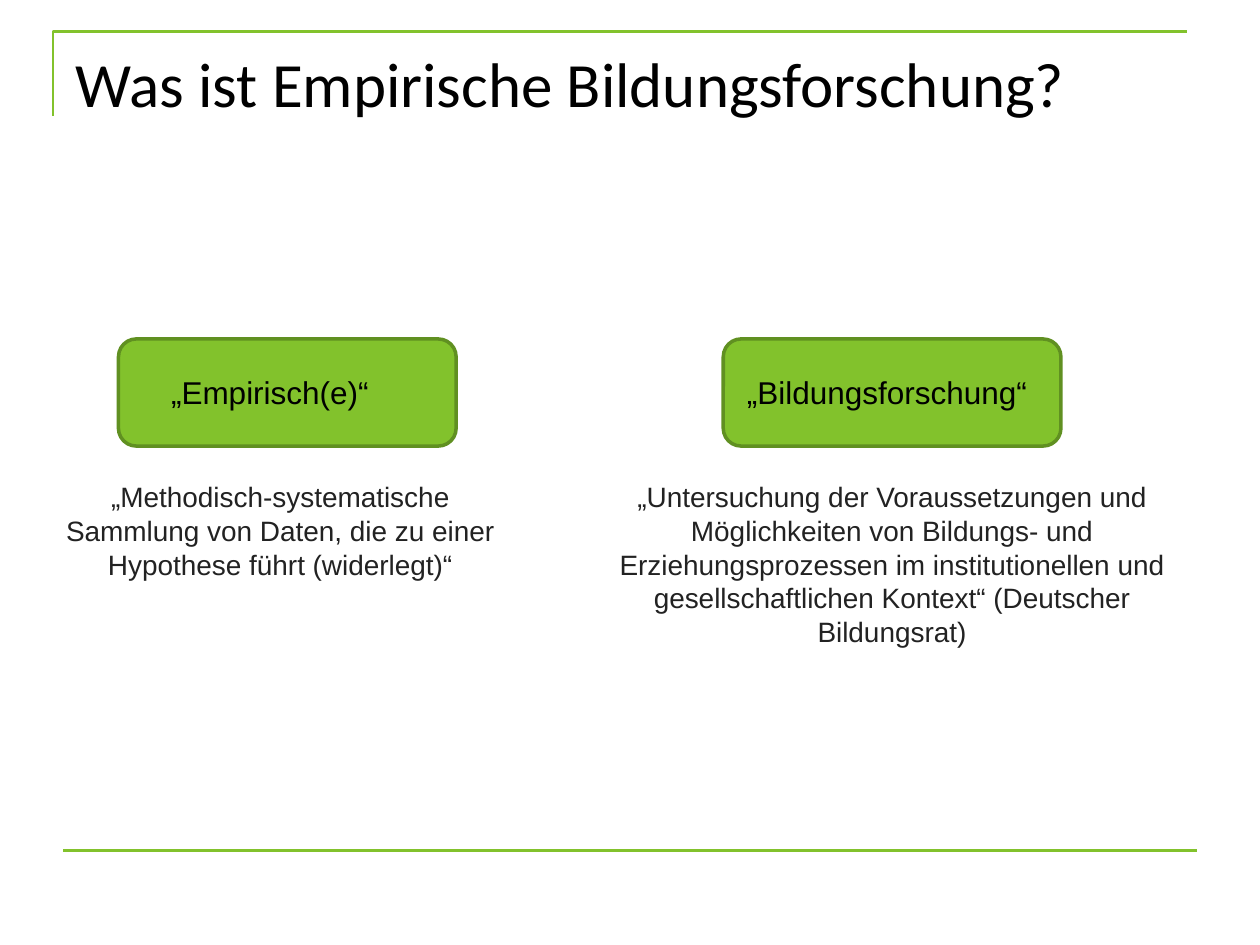
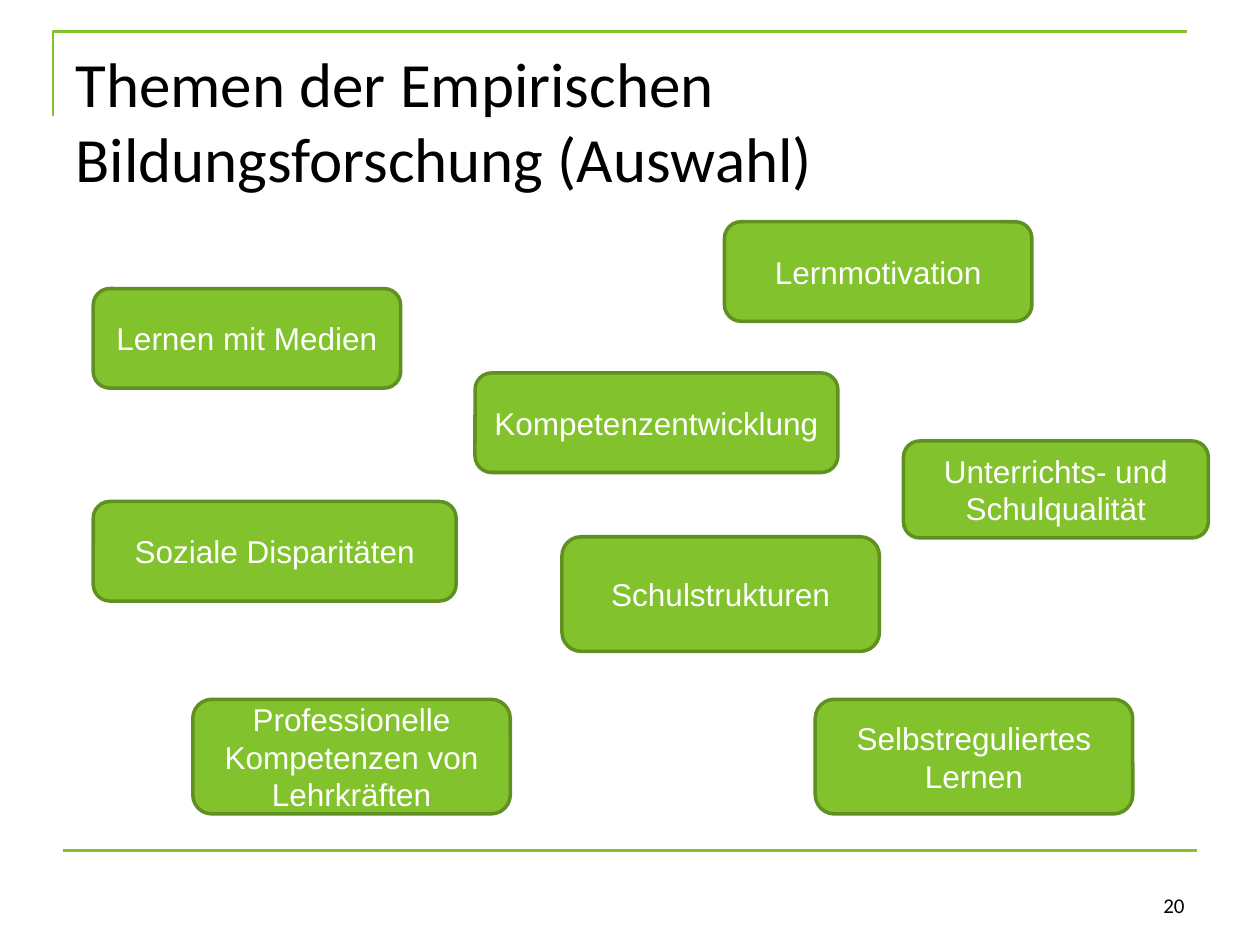
from lxml import etree
from pptx import Presentation
from pptx.dml.color import RGBColor
from pptx.enum.shapes import MSO_CONNECTOR, MSO_SHAPE
from pptx.enum.text import MSO_ANCHOR, MSO_AUTO_SIZE, PP_ALIGN
from pptx.oxml.ns import qn
from pptx.util import Inches, Pt

LEFT, CENTER, RIGHT = PP_ALIGN.LEFT, PP_ALIGN.CENTER, PP_ALIGN.RIGHT
TOP, MIDDLE, BOTTOM = MSO_ANCHOR.TOP, MSO_ANCHOR.MIDDLE, MSO_ANCHOR.BOTTOM
ROUNDED = MSO_SHAPE.ROUNDED_RECTANGLE
STRAIGHT = MSO_CONNECTOR.STRAIGHT
NO_AUTOFIT = MSO_AUTO_SIZE.NONE

GREEN, DARK_GREEN = "82C22C", "609021"
BLACK, GRAY, WHITE = "000000", "222222", "FFFFFF"
TITLE_FONT, BODY_FONT = "Calibri", "Arial"

DEFINITION_TITLE = "Was ist Empirische Bildungsforschung?"
TERM_TOP, TERM_SIZE = 2.69, (2.68, 0.85)
LABEL_TOP, LABEL_HEIGHT = 2.91, 0.4
DEFINITION_TOP = 3.76
TERMS = [
    {
        "label": "„Empirisch(e)“",
        "box_left": 0.94,
        "label_left": 1.26,
        "label_width": 2.06,
        "definition": "„Methodisch-systematische Sammlung von Daten, "
                      "die zu einer Hypothese führt (widerlegt)“",
        "definition_left": 0.26,
        "definition_size": (3.93, 0.91),
    },
    {
        "label": "„Bildungsforschung“",
        "box_left": 5.74,
        "label_left": 5.83,
        "label_width": 2.9,
        "definition": "„Untersuchung der Voraussetzungen und Möglichkeiten von "
                      "Bildungs- und Erziehungsprozessen im institutionellen und "
                      "gesellschaftlichen Kontext“ (Deutscher Bildungsrat)",
        "definition_left": 4.58,
        "definition_size": (5, 1.45),
    },
]

TOPICS_TITLE = "Themen der Empirischen Bildungsforschung (Auswahl)"
PAGE_NUMBER = "20"
SMALL, WIDE, COMPACT, TALL = (2.44, 0.79), (2.88, 0.79), (2.42, 0.77), (2.52, 0.91)
TOPICS = [
    ("Lernen mit Medien", 0.74, 2.29, SMALL),
    ("Lernmotivation", 5.75, 1.76, SMALL),
    ("Kompetenzentwicklung", 3.77, 2.96, WIDE),
    ("Soziale Disparitäten", 0.74, 3.98, WIDE),
    ("Unterrichts- und Schulqualität", 7.17, 3.5, COMPACT),
    ("Professionelle Kompetenzen von Lehrkräften", 1.53, 5.55, TALL),
    ("Selbstreguliertes Lernen", 6.47, 5.55, TALL),
    ("Schulstrukturen", 4.46, 4.26, TALL),
]


def color(value):
    return RGBColor.from_string(value)


def set_line(shape, value, width):
    shape.line.color.rgb = color(value)
    shape.line.width = Pt(width)


def write(shape, text, size, value, font=BODY_FONT, align=LEFT, anchor=TOP):
    frame = shape.text_frame
    frame.word_wrap = True
    frame.auto_size = NO_AUTOFIT
    frame.vertical_anchor = anchor
    para = frame.paragraphs[0]
    para.text = text
    para.alignment = align
    para.font.name = font
    para.font.size = Pt(size)
    para.font.color.rgb = color(value)


def add_text(page, text, left, top, size, *style, **options):
    box = page.shapes.add_textbox(*map(Inches, (left, top, *size)))
    write(box, text, *style, **options)


def add_green_box(page, left, top, size):
    box = page.shapes.add_shape(ROUNDED, *map(Inches, (left, top, *size)))
    box.shadow.inherit = False
    box.fill.solid()
    box.fill.fore_color.rgb = color(GREEN)
    set_line(box, DARK_GREEN, 2)
    return box


def add_frame_lines(page):
    builder = page.shapes.build_freeform(Inches(0.42), Inches(0.92))
    corner = [(Inches(0.42), Inches(0.25)), (Inches(9.42), Inches(0.25))]
    builder.add_line_segments(corner, close=False)
    bracket = builder.convert_to_shape()
    bracket.shadow.inherit = False
    bracket.fill.background()
    set_line(bracket, GREEN, 1.5)

    rule = page.shapes.add_connector(STRAIGHT, *map(Inches, (0.5, 6.75, 9.5, 6.75)))
    set_line(rule, GREEN, 1.5)
    etree.SubElement(rule._element.spPr, qn("a:effectLst"))


def add_page(deck, title_text):
    page = deck.slides.add_slide(deck.slide_layouts[5])
    add_frame_lines(page)
    title = page.shapes.title
    title.left, title.top, title.width, title.height = map(Inches, (0.5, 0.3, 9, 1.25))
    write(title, title_text, 36, BLACK, TITLE_FONT)
    return page


def add_definition_page(deck):
    page = add_page(deck, DEFINITION_TITLE)
    for term in TERMS:
        add_green_box(page, term["box_left"], TERM_TOP, TERM_SIZE)
        add_text(page, term["label"], term["label_left"], LABEL_TOP,
                 (term["label_width"], LABEL_HEIGHT), 18, BLACK)
        add_text(page, term["definition"], term["definition_left"], DEFINITION_TOP,
                 term["definition_size"], 16, GRAY, align=CENTER)


def add_topics_page(deck):
    page = add_page(deck, TOPICS_TITLE)
    add_text(page, PAGE_NUMBER, 7.17, 6.83, (2.33, 0.5), 12, BLACK,
             font=TITLE_FONT, align=RIGHT, anchor=BOTTOM)
    for topic, left, top, size in TOPICS:
        box = add_green_box(page, left, top, size)
        write(box, topic, 18, WHITE, align=CENTER, anchor=MIDDLE)


def main():
    deck = Presentation()
    deck.slide_width, deck.slide_height = Inches(10), Inches(7.5)
    add_definition_page(deck)
    add_topics_page(deck)
    deck.save("out.pptx")


if __name__ == "__main__":
    main()
